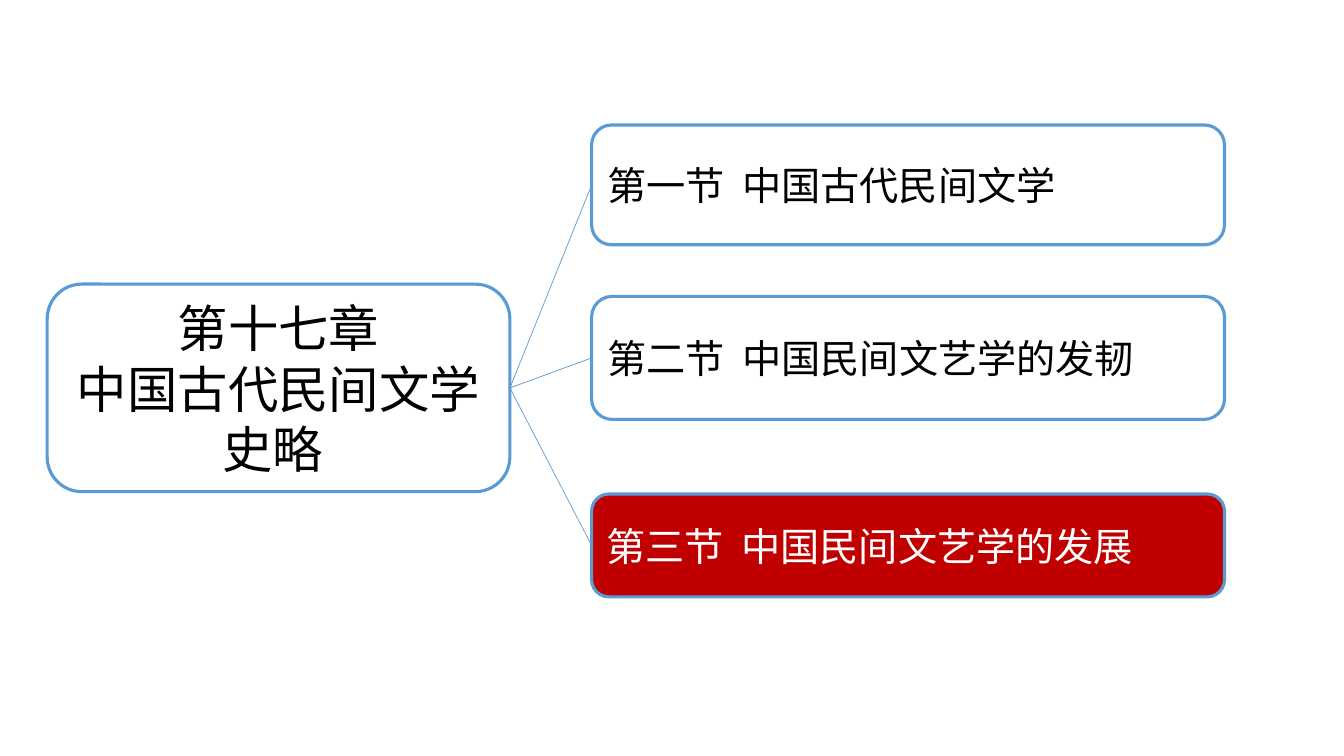
from pptx import Presentation
from pptx.dml.color import RGBColor
from pptx.enum.shapes import MSO_CONNECTOR, MSO_SHAPE
from pptx.enum.text import MSO_ANCHOR, PP_ALIGN
from pptx.oxml.ns import qn
from pptx.util import Cm, Pt
from lxml.etree import SubElement

COLORS = {"line": "5B9BD5", "black": "000000", "white": "FFFFFF", "red": "C00000"}
LEFT_SITE, RIGHT_SITE = 1, 3  # connection sites of a rounded rectangle


class MindMap:
    font = "Noto Sans CJK SC"

    def __init__(self, prs):
        self.s = prs.slides.add_slide(prs.slide_layouts[6])

    def color(self, name):
        return RGBColor.from_string(COLORS[name])

    def outline(self, sp, width):
        sp.line.color.rgb = self.color("line")
        sp.line.width = Pt(width)

    def box(self, at, lines, size, align, fill=None, color="black"):
        sp = self.s.shapes.add_shape(MSO_SHAPE.ROUNDED_RECTANGLE, *map(Cm, at))
        sp.shadow.inherit = False
        if fill:
            sp.fill.solid()
            sp.fill.fore_color.rgb = self.color(fill)
        else:
            sp.fill.background()
        self.outline(sp, 2.25)
        tf = sp.text_frame
        tf.word_wrap = True
        tf.vertical_anchor = MSO_ANCHOR.MIDDLE
        for i, line in enumerate(lines):
            p = tf.add_paragraph() if i else tf.paragraphs[0]
            p.alignment = align
            r = p.add_run()
            r.text = line
            r.font.size = Pt(size)
            r.font.color.rgb = self.color(color)
            r.font.name = self.font
            # East Asian typeface
            SubElement(r.font._element, qn("a:ea")).set("typeface", self.font)
        return sp

    def link(self, start, end):
        cn = self.s.shapes.add_connector(MSO_CONNECTOR.STRAIGHT, 0, 0, 0, 0)
        cn.begin_connect(start, RIGHT_SITE)
        cn.end_connect(end, LEFT_SITE)
        self.outline(cn, 0.5)
        SubElement(cn._element.spPr, qn("a:effectLst"))


def main():
    prs = Presentation()
    prs.slide_width, prs.slide_height = Cm(33.87), Cm(19.05)
    mm = MindMap(prs)

    # Chapter
    chapter = mm.box((1.19, 7.16, 11.66, 5.23), ["第十七章", "中国古代民间文学史略 "],
                     36, PP_ALIGN.CENTER)

    # Sections: top, height, text, fill, text colour
    sections = [
        (3.15, 3.02, "第一节  中国古代民间文学", "white", "black"),
        (7.47, 3.1, "第二节  中国民间文艺学的发韧", None, "black"),
        (12.45, 2.59, "第三节  中国民间文艺学的发展", "red", "white"),
    ]
    boxes = [mm.box((14.91, top, 15.95, height), [text], 28, PP_ALIGN.LEFT, fill, color)
             for top, height, text, fill, color in sections]

    # Branches
    for sp in boxes:
        mm.link(chapter, sp)

    prs.save("out.pptx")


if __name__ == "__main__":
    main()
